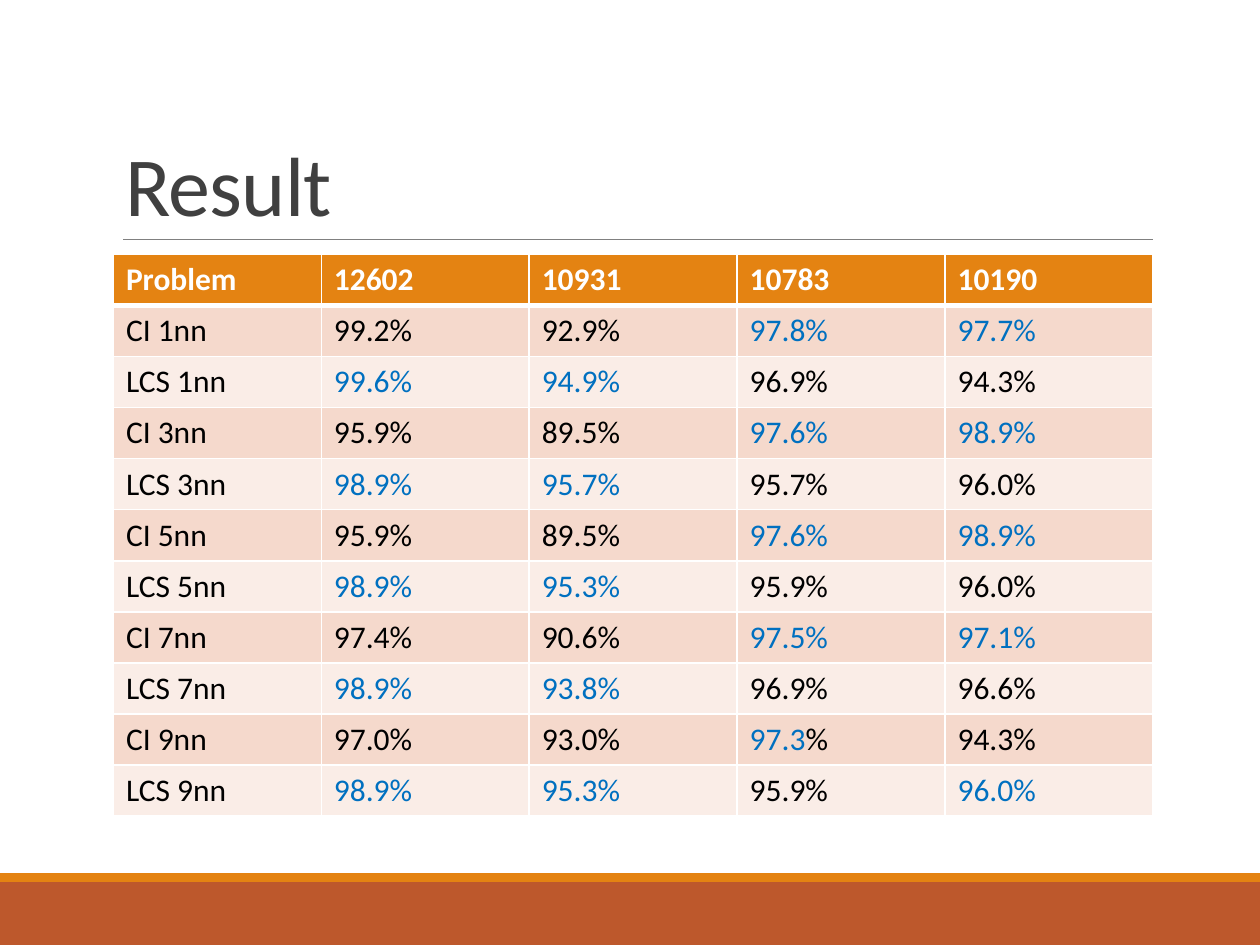
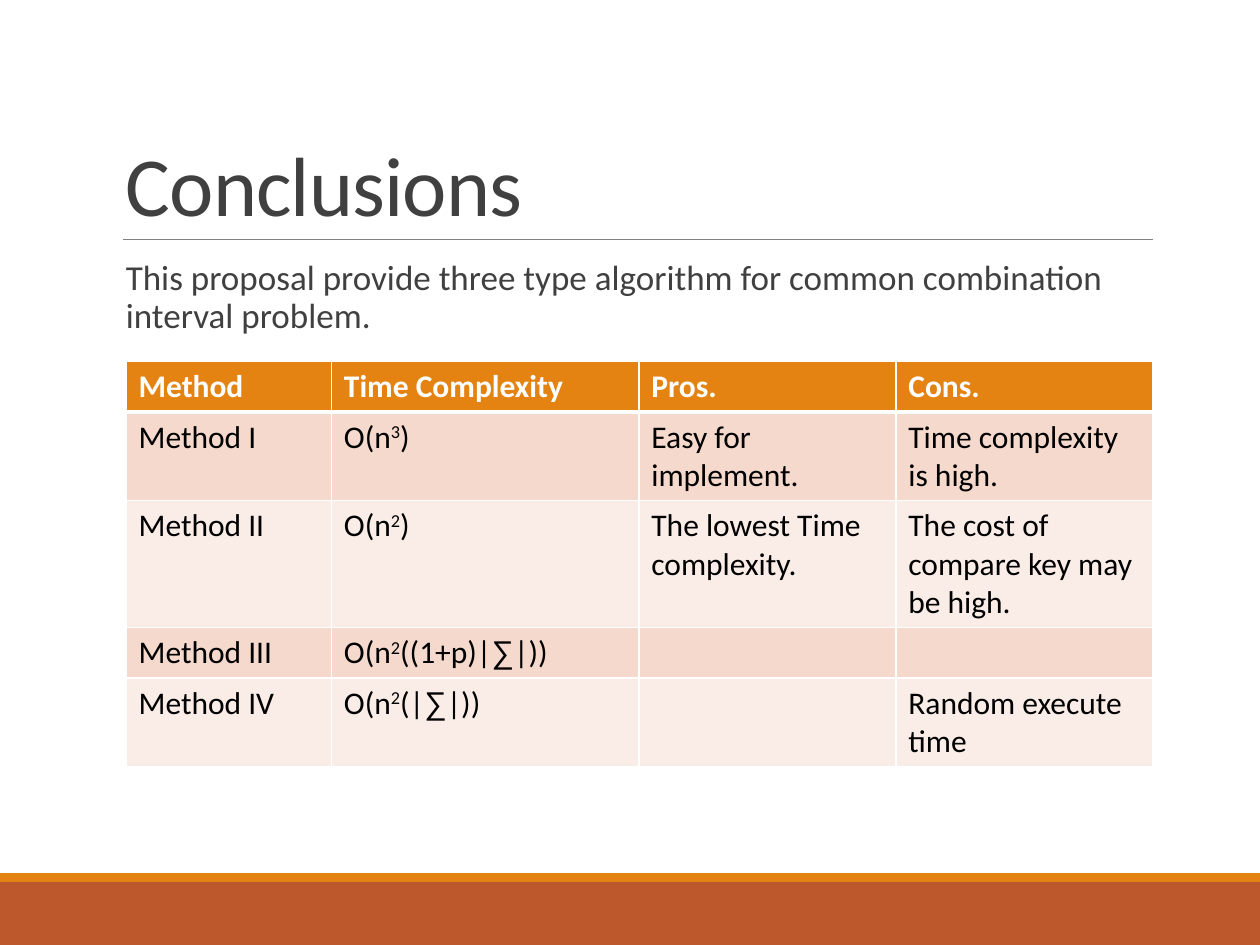
from lxml import etree
from pptx import Presentation
from pptx.dml.color import RGBColor
from pptx.enum import shapes, text
from pptx.oxml import ns
from pptx.util import Inches, Pt

HUE = {
    "band": "BD582C", "accent": "E48312", "rule": "808080",
    "title": "404040", "head": "FFFFFF", "dark": "000000",
    "best": "0070C0", "odd": "F5D9CC", "even": "FAEDE7", "edge": "FFFFFF",
}
FONT = "Calibri"

SCORES = [  # neighbours, CI scores, LCS scores
    (1, (99.2, 92.9, 97.8, 97.7), (99.6, 94.9, 96.9, 94.3)),
    (3, (95.9, 89.5, 97.6, 98.9), (98.9, 95.7, 95.7, 96.0)),
    (5, (95.9, 89.5, 97.6, 98.9), (98.9, 95.3, 95.9, 96.0)),
    (7, (97.4, 90.6, 97.5, 97.1), (98.9, 93.8, 96.9, 96.6)),
    (9, (97.0, 93.0, 97.3, 94.3), (98.9, 95.3, 95.9, 96.0)),
]


def color(name):
    return RGBColor.from_string(HUE[name])


def add_run(para, words, size, hue, bold=False, font=FONT):
    run = para.add_run()
    run.text = words
    run.font.name = font
    run.font.size = Pt(size)
    run.font.bold = bold
    run.font.color.rgb = color(hue)
    return run


def add_band(slide, top, height, hue):
    band = slide.shapes.add_shape(
        shapes.MSO_SHAPE.RECTANGLE, 0, Inches(top), Inches(10), Inches(height))
    band.shadow.inherit = False
    band.fill.solid()
    band.fill.fore_color.rgb = color(hue)
    band.line.fill.background()


def add_rule(slide, left, right, y):
    rule = slide.shapes.add_connector(
        shapes.MSO_CONNECTOR.STRAIGHT,
        Inches(left), Inches(y), Inches(right), Inches(y))
    rule.line.color.rgb = color("rule")
    rule.line.width = Pt(0.5)
    etree.SubElement(rule._element.spPr, ns.qn("a:effectLst"))


def add_text(slide, words, box, size, gap, anchor):
    frame = slide.shapes.add_textbox(*map(Inches, box)).text_frame
    frame.word_wrap = True
    frame.vertical_anchor = anchor
    para = frame.paragraphs[0]
    para.line_spacing = gap
    return frame, add_run(para, words, size, "title")


def add_page(deck, title):
    """Add a slide with the shared bands, rule and title."""
    slide = deck.slides.add_slide(deck.slide_layouts[6])
    add_band(slide, 7, 0.5, "band")
    add_band(slide, 6.93, 0.07, "accent")
    add_rule(slide, 0.98, 9.15, 1.9)
    _, run = add_text(slide, title, (0.9, 0.31, 8.25, 1.59), 48, 0.85,
                      text.MSO_ANCHOR.BOTTOM)
    run._r.get_or_add_rPr().set("spc", "-50")
    return slide


def set_edge(cell, side, width):
    edge = etree.SubElement(cell._tc.get_or_add_tcPr(),
                            ns.qn("a:ln" + side), w=str(Pt(width)))
    fill = etree.SubElement(edge, ns.qn("a:solidFill"))
    etree.SubElement(fill, ns.qn("a:srgbClr"), val=HUE["edge"])


def fill_cell(cell, row, runs):
    """Style a cell and write its (words, kind) runs."""
    for side in "LRTB":
        thick = (row, side) in ((0, "B"), (1, "T"))
        set_edge(cell, side, 3 if thick else 1)
    cell.fill.solid()
    back = "accent" if row == 0 else "odd" if row % 2 else "even"
    cell.fill.fore_color.rgb = color(back)
    for words, kind in runs:
        hue = "head" if row == 0 else "best" if kind == "best" else "dark"
        run = add_run(cell.text_frame.paragraphs[0], words, 18, hue,
                      row == 0, "Arial" if kind == "sum" else FONT)
        if kind == "power":
            run._r.get_or_add_rPr().set("baseline", "30000")


def add_grid(slide, rows, left, top, widths, heights):
    """Add a table; a cell is a string or a list of runs."""
    table = slide.shapes.add_table(
        len(rows), len(widths), Inches(left), Inches(top),
        Inches(sum(widths)), Inches(sum(heights))).table
    table.horz_banding = False
    for col, width in zip(table.columns, widths):
        col.width = Inches(width)
    for r, (row, height) in enumerate(zip(rows, heights)):
        table.rows[r].height = Inches(height)
        for c, item in enumerate(row):
            runs = [(item, "")] if isinstance(item, str) else item
            fill_cell(table.cell(r, c), r, runs)


def rank(label, mine, other):
    """Make a row in which the scores that beat the rival are marked."""
    return [label] + [[(f"{a:.1f}%", "best" if a > b else "")]
                      for a, b in zip(mine, other)]


def order(power, *tail):
    return [("O(n", ""), (power, "power"), *tail]


def add_result(deck):
    slide = add_page(deck, "Result")
    rows = [["Problem", "12602", "10931", "10783", "10190"]]
    for near, ci, lcs in SCORES:
        rows.append(rank(f"CI {near}nn", ci, lcs))
        rows.append(rank(f"LCS {near}nn", lcs, ci))
    rows[9][3] = [("97.3", "best"), ("%", "")]  # plain percent sign
    add_grid(slide, rows, 0.9, 2.02, [1.65] * 5, [4.46 / 11] * 11)


def add_close(deck):
    slide = add_page(deck, "Conclusions")
    frame, _ = add_text(
        slide, "This proposal provide three type algorithm for common "
        "combination interval problem.", (0.9, 2.02, 8.25, 4.4), 20, 0.9,
        text.MSO_ANCHOR.TOP)
    frame.margin_right = 0
    sigma = ("∑", "sum")
    rows = [
        ["Method", "Time Complexity", "Pros.", "Cons."],
        ["Method I", order("3", (")", "")),
         "Easy for implement.", "Time complexity is high."],
        ["Method II", order("2", (")", "")),
         "The lowest Time complexity.",
         "The cost of compare key may be high."],
        ["Method III", order("2", ("((1+p)|", ""), sigma, ("|))", "")),
         [], []],
        ["Method IV", order("2", ("(|", ""), sigma, ("|))", "")),
         [], "Random execute time"],
    ]
    add_grid(slide, rows, 1, 2.87, [1.63, 2.44, 2.04, 2.04],
             [0.4, 0.7, 1.01, 0.4, 0.7])


def main():
    deck = Presentation()
    deck.slide_width, deck.slide_height = Inches(10), Inches(7.5)
    add_result(deck)
    add_close(deck)
    deck.save("out.pptx")


if __name__ == "__main__":
    main()
